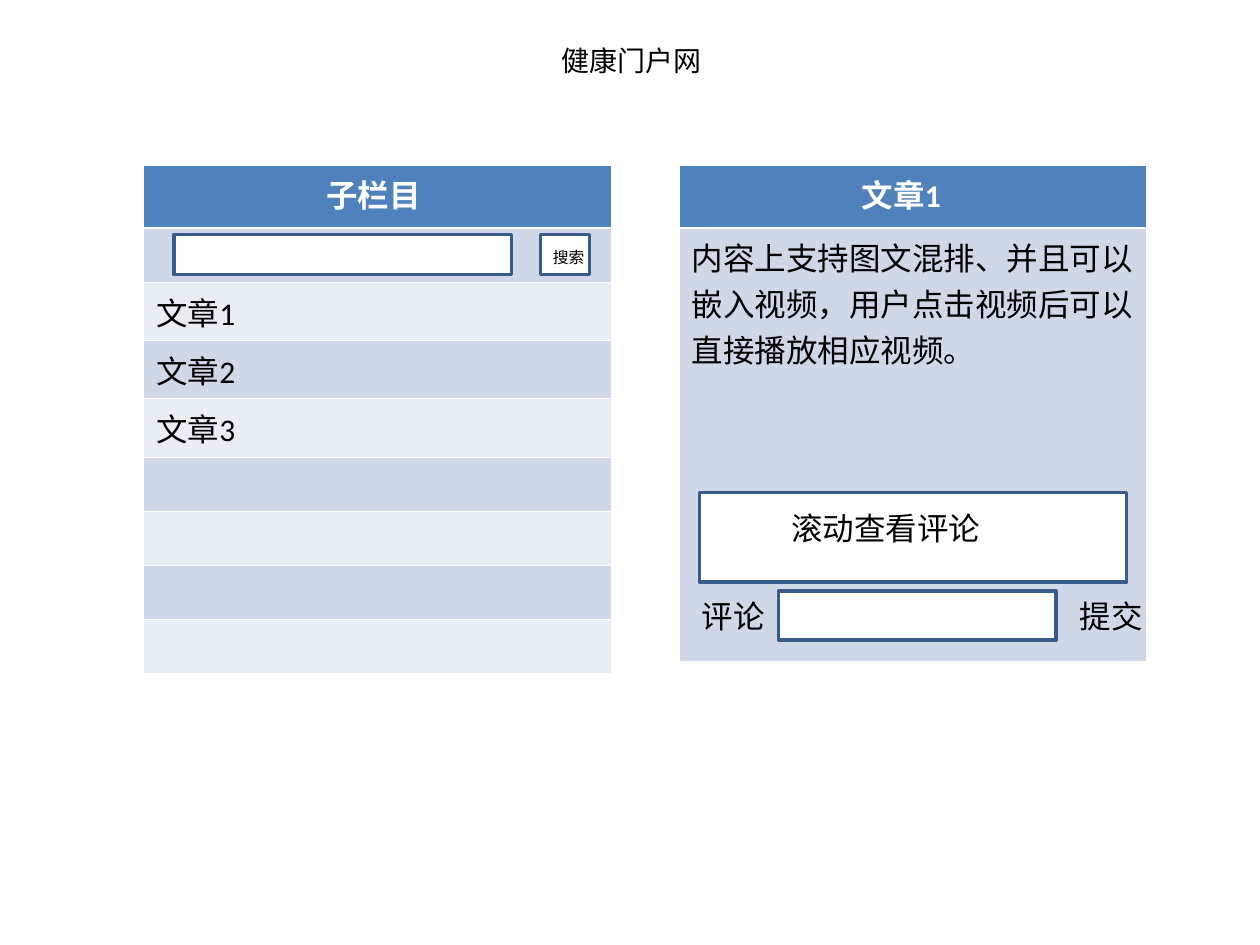
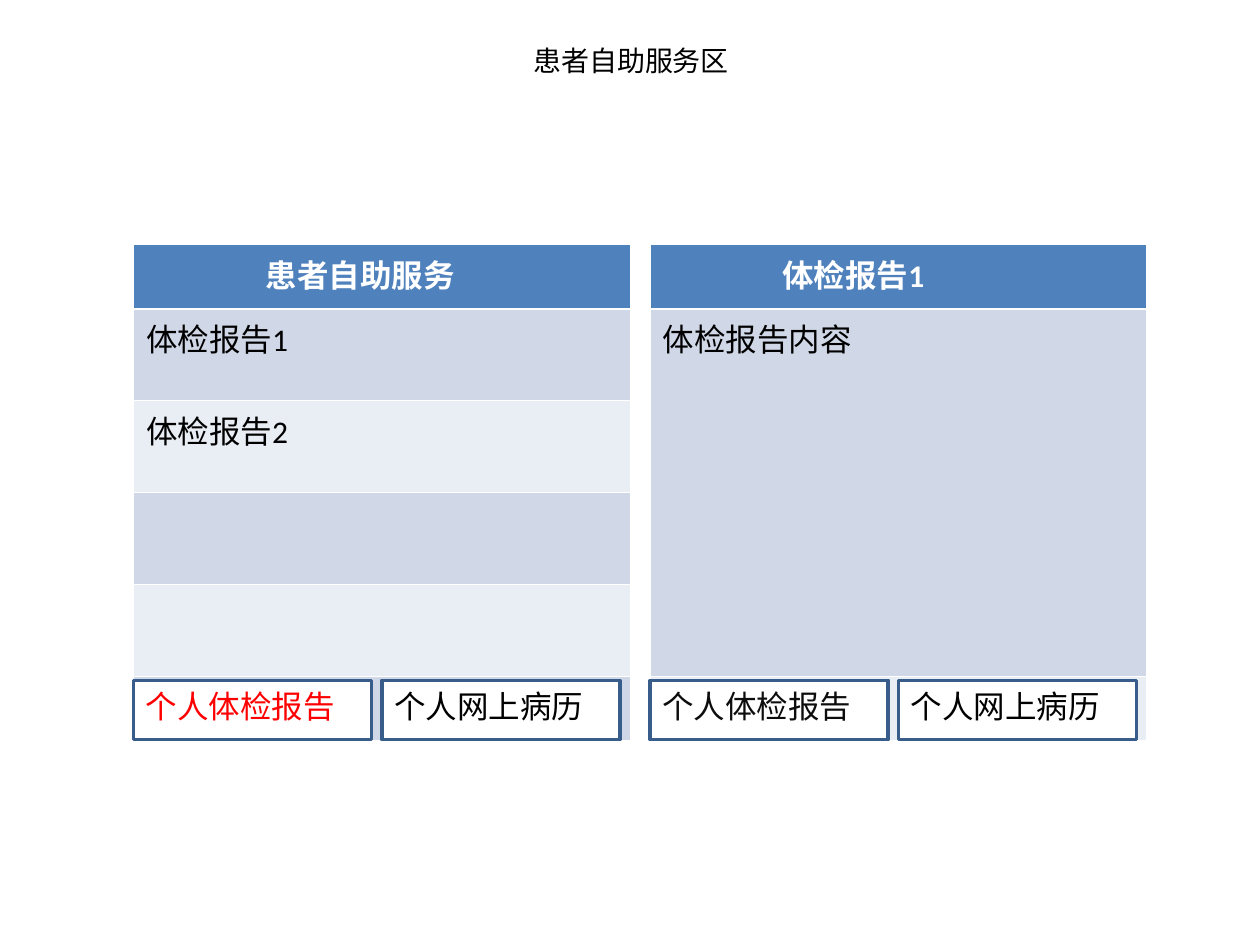
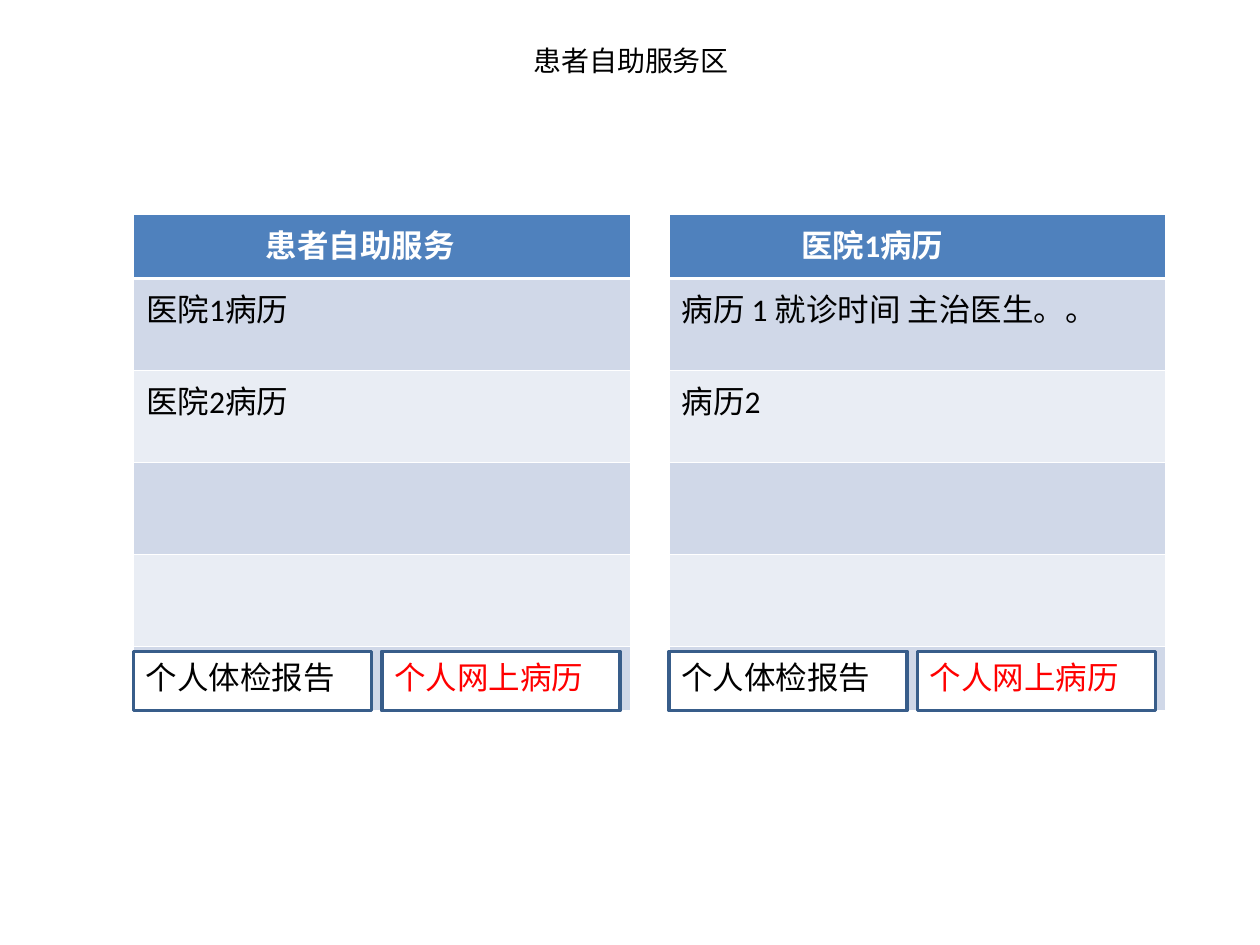
from dataclasses import dataclass

from lxml.etree import SubElement
from pptx import Presentation
from pptx.dml.color import RGBColor
from pptx.enum.shapes import MSO_SHAPE
from pptx.enum.text import MSO_ANCHOR, MSO_AUTO_SIZE, PP_ALIGN
from pptx.oxml.ns import qn
from pptx.util import Emu, Pt

PX = 9144  # EMU per px, 100 px to the inch


@dataclass(frozen=True)
class Theme:
    font: str = "Calibri"
    title_size: int = 16
    body_size: int = 18
    small_size: int = 9
    text: str = "000000"
    soft_text: str = "0D0D0D"
    active: str = "FF0000"
    white: str = "FFFFFF"
    header: str = "4F81BD"
    bands: tuple = ("D0D8E8", "E9EDF4")
    outline: str = "385D8A"
    outline_width: int = 2
    thin_rule: float = 0.45
    header_rule: float = 1.47


T = Theme()

# Content: panels are left, top, width, header indent, row heights, row texts
PORTAL = {
    "title": "健康门户网",
    "panels": [
        (539, 131, 371, 145, [50, 344],
         ["文章1", "内容上支持图文混排、并且可以嵌入视频，用户点击视频后可以直接播放相应视频。"]),
        (114, 131, 371, 145, [50] + [43] * 8,
         ["子栏目", "", "文章1", "文章2", "文章3"]),
    ],
    "fields": [(138, 186, 268, 32), (429, 186, 39, 32),
               (618, 469, 220, 39), (555, 391, 339, 71)],
    "labels": [("搜索", 429, 192, 47, 25, T.small_size, 10),
               ("评论", 547, 469, 71, 40, T.body_size, 10),
               ("提交", 847, 469, 79, 40, T.body_size, 10),
               ("滚动查看评论", 579, 399, 284, 40, T.body_size, 49)],
}

SERVICE_TITLE = "患者自助服务区"
TABS = ["个人体检报告", "个人网上病历"]
LIST_ROWS = [51, 73, 73, 73, 73, 51]
DETAIL_ROWS = [51, 292, 51]
# Each service slide: table top, tab top, panels of left, rows, texts, tab colours
SERVICES = [
    (194, 540, [
        (106, LIST_ROWS, ["患者自助服务", "体检报告1", "体检报告2"], (T.active, T.text)),
        (516, DETAIL_ROWS, ["体检报告1", "体检报告内容"], (T.soft_text, T.text)),
    ]),
    (170, 517, [
        (106, LIST_ROWS, ["患者自助服务", "医院1病历", "医院2病历"], (T.text, T.active)),
        (531, LIST_ROWS, ["医院1病历", "病历 1 就诊时间 主治医生。。", "病历2"],
         (T.text, T.active)),
    ]),
]
PANEL_W, PANEL_INDENT = 394, 105
TAB_W, TAB_H, TAB_STEP = 189, 47, 197
LABEL_H = 40


def rgb(value):
    return RGBColor.from_string(value)


def box(*lengths):
    return [Emu(n * PX) for n in lengths]


def style(p, size, color, bold=False):
    p.font.name, p.font.size, p.font.bold = T.font, Pt(size), bold
    p.font.color.rgb = rgb(color)


def add_borders(cell, top, bottom):
    tcPr = cell._tc.get_or_add_tcPr()
    widths = {"a:lnL": T.thin_rule, "a:lnR": T.thin_rule, "a:lnT": top, "a:lnB": bottom}
    for i, (tag, width) in enumerate(widths.items()):
        ln = SubElement(tcPr, qn(tag), w=str(Pt(width)))
        fill = SubElement(ln, qn("a:solidFill"))
        SubElement(fill, qn("a:srgbClr"), val=T.white)
        tcPr.insert(i, ln)  # borders come before the cell fill


def add_panel(s, left, top, width, indent, heights, texts):
    frame = s.shapes.add_table(len(heights), 1, *box(left, top, width, sum(heights)))
    table = frame.table
    table.columns[0].width = Emu(width * PX)
    texts = texts + [""] * (len(heights) - len(texts))
    for i, (height, text) in enumerate(zip(heights, texts)):
        table.rows[i].height = Emu(height * PX)
        cell = table.cell(i, 0)
        is_header = i == 0
        cell.text = text
        if is_header:
            cell.margin_left = Emu(indent * PX)
        style(cell.text_frame.paragraphs[0], T.body_size,
              T.white if is_header else T.text, is_header)
        cell.fill.solid()
        cell.fill.fore_color.rgb = rgb(T.header if is_header else T.bands[(i - 1) % 2])
        add_borders(cell, T.header_rule if i == 1 else T.thin_rule,
                    T.header_rule if is_header else T.thin_rule)


def add_field(s, *place):
    sp = s.shapes.add_shape(MSO_SHAPE.RECTANGLE, *box(*place))
    sp.shadow.inherit = False
    sp.fill.solid()
    sp.fill.fore_color.rgb = rgb(T.white)
    sp.line.color.rgb = rgb(T.outline)
    sp.line.width = Pt(T.outline_width)


def add_label(s, text, left, top, width, height, size, inset=10, color=T.text):
    tf = s.shapes.add_textbox(*box(left, top, width, height)).text_frame
    tf.word_wrap = True
    tf.auto_size = MSO_AUTO_SIZE.SHAPE_TO_FIT_TEXT
    tf.margin_left = Emu(inset * PX)
    tf.text = text
    style(tf.paragraphs[0], size, color)


def add_titled_slide(prs, title):
    s = prs.slides.add_slide(prs.slide_layouts[5])
    sp = s.shapes.title
    sp.left, sp.top, sp.width, sp.height = box(209, 0, 584, 95)
    tf = sp.text_frame
    tf.text = title
    tf.vertical_anchor = MSO_ANCHOR.MIDDLE
    p = tf.paragraphs[0]
    p.alignment = PP_ALIGN.CENTER
    style(p, T.title_size, T.text)
    return s


def build_portal(prs):
    s = add_titled_slide(prs, PORTAL["title"])
    for panel in PORTAL["panels"]:
        add_panel(s, *panel)
    for field in PORTAL["fields"]:
        add_field(s, *field)
    for label in PORTAL["labels"]:
        add_label(s, *label)


def build_service(prs, top, tab_top, panels):
    s = add_titled_slide(prs, SERVICE_TITLE)
    for left, heights, texts, colors in panels:
        add_panel(s, left, top, PANEL_W, PANEL_INDENT, heights, texts)
        # Tabs over the last row
        for i, (tab, color) in enumerate(zip(TABS, colors)):
            x = left + i * TAB_STEP
            add_field(s, x, tab_top, TAB_W, TAB_H)
            add_label(s, tab, x, tab_top, TAB_STEP, LABEL_H, T.body_size, color=color)


def main():
    prs = Presentation()
    prs.slide_width, prs.slide_height = box(1000, 750)
    build_portal(prs)
    for service in SERVICES:
        build_service(prs, *service)
    prs.save("out.pptx")


if __name__ == "__main__":
    main()
